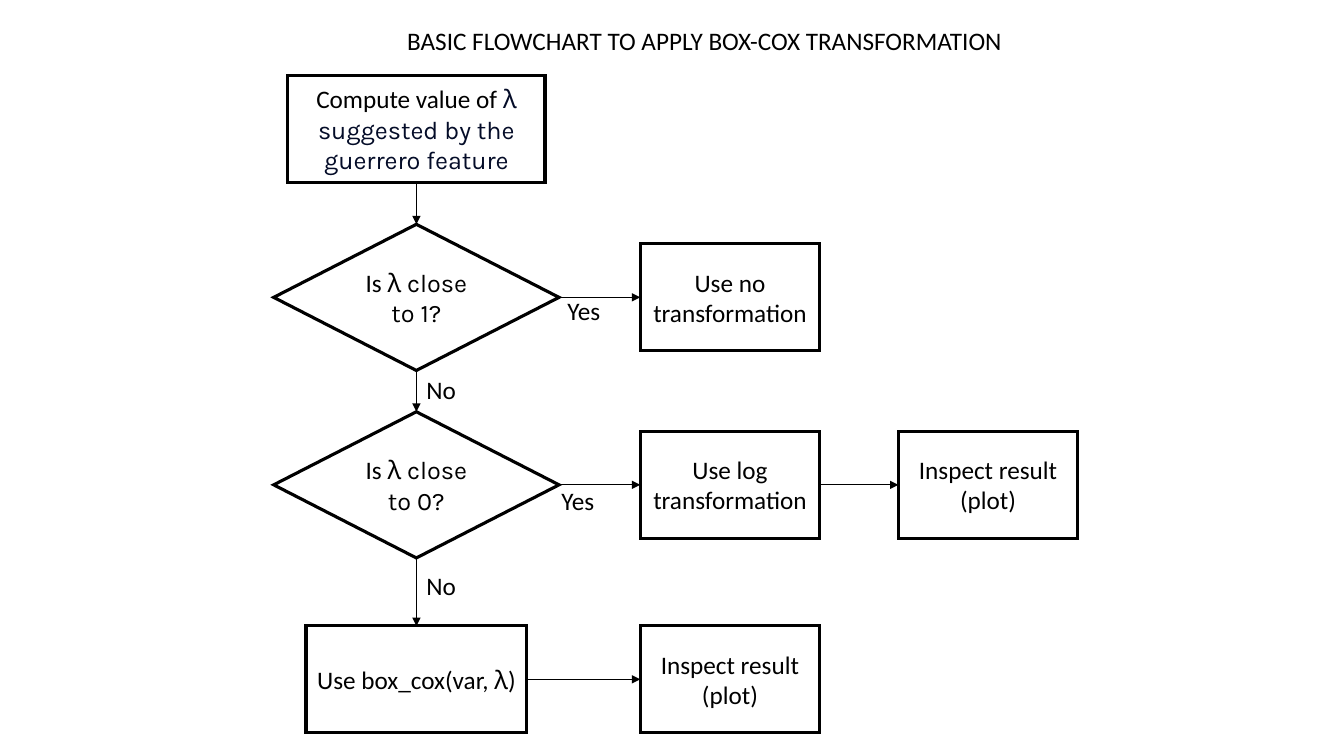
from dataclasses import dataclass

from lxml import etree
from pptx import Presentation
from pptx.dml.color import RGBColor
from pptx.enum.shapes import MSO_CONNECTOR, MSO_SHAPE
from pptx.enum.text import MSO_ANCHOR, MSO_AUTO_SIZE, PP_ALIGN
from pptx.oxml.ns import qn
from pptx.util import Inches, Pt


@dataclass(frozen=True)
class Theme:
    ink: RGBColor = RGBColor(0x00, 0x00, 0x00)
    navy: RGBColor = RGBColor(0x04, 0x0C, 0x28)
    body: str = "Calibri"
    accent: str = "Karla"
    size: Pt = Pt(18)
    outline: Pt = Pt(2.25)
    arrow: Pt = Pt(0.5)


theme = Theme()
BODY = (theme.body, theme.ink)
ACCENT = (theme.accent, theme.ink)
SUGGESTED = (theme.accent, theme.navy)


def add_runs(p, runs):
    for text, (font, color) in runs:
        r = p.add_run()
        r.text = text
        r.font.name = font
        r.font.size = theme.size
        r.font.color.rgb = color


prs = Presentation()
prs.slide_width, prs.slide_height = Inches(13.33), Inches(7.5)
s = prs.slides.add_slide(prs.slide_layouts[6])

# Column and row centres of the flowchart
DECISIONS, ACTIONS, CHECKS = 4.13, 7.24, 9.8
START, NEAR_ONE, NEAR_ZERO, OTHERWISE = 1.28, 2.95, 4.81, 6.74
BOX_HEIGHT, ACTION_WIDTH = 1.06, 1.78
RECT, DIAMOND = MSO_SHAPE.RECTANGLE, MSO_SHAPE.DIAMOND

# key: preset, centre x, centre y, width, height, runs
nodes = {
    "compute": (RECT, DECISIONS, START, 2.55, BOX_HEIGHT,
                [("Compute value of ", BODY),
                 ("λ suggested by the guerrero feature", SUGGESTED)]),
    "close to 1": (DIAMOND, DECISIONS, NEAR_ONE, 2.83, 1.45,
                   [("Is ", BODY), ("λ close to 1?", ACCENT)]),
    "close to 0": (DIAMOND, DECISIONS, NEAR_ZERO, 2.83, 1.45,
                   [("Is ", BODY), ("λ close to 0?", ACCENT)]),
    "none": (RECT, ACTIONS, NEAR_ONE, ACTION_WIDTH, BOX_HEIGHT,
             [("Use no transformation", BODY)]),
    "log": (RECT, ACTIONS, NEAR_ZERO, ACTION_WIDTH, BOX_HEIGHT,
            [("Use log transformation", BODY)]),
    "inspect log": (RECT, CHECKS, NEAR_ZERO, ACTION_WIDTH, BOX_HEIGHT,
                    [("Inspect result (plot)", BODY)]),
    "box_cox": (RECT, DECISIONS, OTHERWISE, 2.19, BOX_HEIGHT,
                [("Use box_cox(var, ", BODY), ("λ", ACCENT), (")", BODY)]),
    "inspect box_cox": (RECT, ACTIONS, OTHERWISE, ACTION_WIDTH, BOX_HEIGHT,
                        [("Inspect result (plot)", BODY)]),
}
shapes = {}
for key, (preset, cx, cy, w, h, runs) in nodes.items():
    sp = s.shapes.add_shape(preset, Inches(cx - w / 2), Inches(cy - h / 2),
                            Inches(w), Inches(h))
    sp.shadow.inherit = False
    sp.fill.background()
    sp.line.color.rgb = theme.ink
    sp.line.width = theme.outline
    etree.SubElement(sp.line._get_or_add_ln(), qn("a:miter"), lim="800000")
    tf = sp.text_frame
    tf.word_wrap = True
    tf.vertical_anchor = MSO_ANCHOR.MIDDLE
    p = tf.paragraphs[0]
    p.alignment = PP_ALIGN.CENTER
    add_runs(p, runs)
    shapes[key] = sp

TOP, LEFT, BOTTOM, RIGHT = range(4)
DOWN, ACROSS = (BOTTOM, TOP), (RIGHT, LEFT)
for start, end, (exit_side, entry_side) in [
    ("compute", "close to 1", DOWN),
    ("close to 1", "close to 0", DOWN),
    ("close to 1", "none", ACROSS),
    ("close to 0", "log", ACROSS),
    ("log", "inspect log", ACROSS),
    ("box_cox", "inspect box_cox", ACROSS),
    ("close to 0", "box_cox", DOWN),
]:
    arrow = s.shapes.add_connector(MSO_CONNECTOR.STRAIGHT, 0, 0, 0, 0)
    arrow.begin_connect(shapes[start], exit_side)
    arrow.end_connect(shapes[end], entry_side)
    arrow.line.color.rgb = theme.ink
    arrow.line.width = theme.arrow
    etree.SubElement(arrow.line._get_or_add_ln(), qn("a:tailEnd"), type="triangle")
    etree.SubElement(arrow._element.spPr, qn("a:effectLst"))

for text, x, y, w in [
    ("Yes", 5.53, 2.88, 0.69),
    ("No", 4.13, 3.66, 0.69),
    ("No", 4.13, 5.61, 0.69),
    ("Yes", 5.47, 4.77, 0.69),
    ("BASIC FLOWCHART TO APPLY BOX-COX TRANSFORMATION", 3.94, 0.2, 6.61),
]:
    tf = s.shapes.add_textbox(Inches(x), Inches(y), Inches(w), Inches(0.4)).text_frame
    tf.word_wrap = True
    tf.auto_size = MSO_AUTO_SIZE.SHAPE_TO_FIT_TEXT
    add_runs(tf.paragraphs[0], [(text, BODY)])

prs.save("out.pptx")
